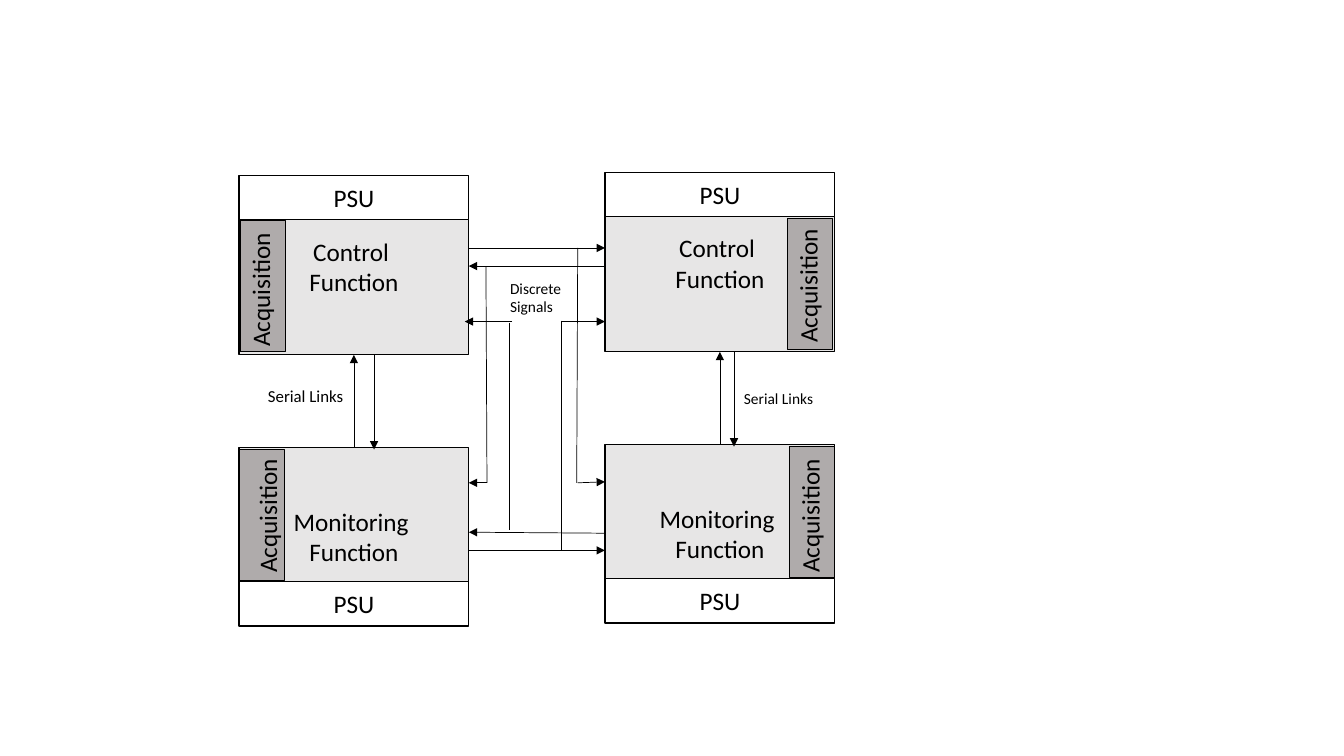
import pptx
import pptx.util
import pptx.dml.color
import pptx.enum.shapes
import pptx.enum.text
import pptx.oxml
import pptx.oxml.ns

Inches = pptx.util.Inches
RGBColor = pptx.dml.color.RGBColor

BLACK = RGBColor(0x00, 0x00, 0x00)
WHITE = RGBColor(0xFF, 0xFF, 0xFF)
LIGHT_GREY = RGBColor(0xE7, 0xE6, 0xE6)
DARK_GREY = RGBColor(0xAF, 0xAB, 0xAB)

CHANNEL_WIDTH = 2.28
FUNCTION_HEIGHT = 1.76
PSU_HEIGHT = 0.44
BAR_SIZE = (0.45, 1.3)
LABEL_SIZE = (1.34, 0.4)

# Each channel: origin, acquisition bars and labels relative to it, down link
CHANNELS = [
    {"origin": (2.37, 1.74), "bars": [(0.01, 0.45), (0, 2.72)],
     "labels": [(-0.46, 0.93), (-0.39, 3.17)], "down_link": 1.34},
    {"origin": (6, 1.71), "bars": [(1.81, 0.46), (1.83, 2.72)],
     "labels": [(1.34, 0.92), (1.36, 3.2)], "down_link": 1.28},
]

# Discrete signals between the channels: start, end
SIGNAL_ARROWS = [
    ((4.65, 2.46), (6, 2.46)),
    ((5.73, 4.79), (6, 4.78)),
    ((4.83, 4.79), (4.65, 4.79)),
    ((4.65, 5.46), (6, 5.46)),
    ((5.57, 3.19), (6, 3.19)),
    ((5.08, 3.19), (4.61, 3.19)),
]
SIGNAL_BRANCHES = [
    ((5.72, 4.79), (5.73, 2.46)),
    ((4.83, 4.79), (4.82, 2.64)),
    ((5.57, 3.18), (5.57, 5.46)),
    ((5.05, 3.2), (5.05, 5.26)),
]


def set_values(target, values):
    for name, value in values.items():
        setattr(target, name, value)


def write_lines(shape, lines, size, alignment):
    frame = shape.text_frame
    for index, line in enumerate(lines):
        paragraph = frame.paragraphs[0] if index == 0 else frame.add_paragraph()
        paragraph.alignment = alignment
        run = paragraph.add_run()
        run.text = line
        set_values(run.font, {"name": "Calibri", "size": pptx.util.Pt(size)})
        run.font.color.rgb = BLACK


def add_box(slide, left, top, width, height, fill, lines=()):
    shape = slide.shapes.add_shape(
        pptx.enum.shapes.MSO_SHAPE.RECTANGLE,
        Inches(left), Inches(top), Inches(width), Inches(height))
    shape.shadow.inherit = False
    shape.fill.solid()
    shape.fill.fore_color.rgb = fill
    shape.line.color.rgb = BLACK
    shape.line.width = pptx.util.Pt(1)
    shape.text_frame.vertical_anchor = pptx.enum.text.MSO_ANCHOR.MIDDLE
    write_lines(shape, lines, 18, pptx.enum.text.PP_ALIGN.CENTER)
    return shape


def add_label(slide, left, top, width, height, lines, size, rotation=0):
    label = slide.shapes.add_textbox(
        Inches(left), Inches(top), Inches(width), Inches(height))
    label.rotation = rotation
    set_values(label.text_frame, {
        "word_wrap": False,
        "auto_size": pptx.enum.text.MSO_AUTO_SIZE.SHAPE_TO_FIT_TEXT,
    })
    write_lines(label, lines, size, pptx.enum.text.PP_ALIGN.LEFT)


def add_line(slide, start, end, arrow=True):
    connector = slide.shapes.add_connector(
        pptx.enum.shapes.MSO_CONNECTOR.STRAIGHT,
        *(Inches(value) for value in (*start, *end)))
    connector.line.color.rgb = BLACK
    connector.line.width = pptx.util.Pt(0.5)
    if arrow:
        line_element = connector.line._get_or_add_ln()
        tail = pptx.oxml.parse_xml(
            f'<a:tailEnd {pptx.oxml.ns.nsdecls("a")} type="triangle"/>')
        line_element.append(tail)
    connector._element.spPr.append(pptx.oxml.parse_xml(
        f'<a:effectLst {pptx.oxml.ns.nsdecls("a")}/>'))
    return connector


def add_channel(slide, channel):
    left, top = channel["origin"]
    control_top, monitoring_top = top + 0.02, top + 2.7
    control_bottom = control_top + FUNCTION_HEIGHT

    # Function blocks
    monitoring = add_box(slide, left, monitoring_top, CHANNEL_WIDTH,
                         FUNCTION_HEIGHT, LIGHT_GREY, ["Monitoring ", "Function"])
    control = add_box(slide, left, control_top, CHANNEL_WIDTH,
                      FUNCTION_HEIGHT, LIGHT_GREY, ["Control ", "Function"])

    # Serial links
    middle = left + CHANNEL_WIDTH / 2
    up_link = add_line(slide, (middle, monitoring_top), (middle, control_bottom))
    up_link.begin_connect(monitoring, 0)
    up_link.end_connect(control, 2)
    down_link = left + channel["down_link"]
    add_line(slide, (down_link, control_bottom),
             (down_link, monitoring_top + 0.02))

    # Power supplies
    for offset in (0, 4.03):
        add_box(slide, left, top + offset, CHANNEL_WIDTH, PSU_HEIGHT,
                WHITE, ["PSU"])

    # Acquisition bars with upright labels
    for x, y in channel["bars"]:
        add_box(slide, left + x, top + y, *BAR_SIZE, DARK_GREY)
    for x, y in channel["labels"]:
        add_label(slide, left + x, top + y, *LABEL_SIZE, ["Acquisition"], 18, 270)
    return control, monitoring


def main():
    presentation = pptx.Presentation()
    presentation.slide_width = Inches(13.33)
    presentation.slide_height = Inches(7.5)
    slide = presentation.slides.add_slide(presentation.slide_layouts[6])

    (left_control, _), (_, right_monitoring) = [
        add_channel(slide, channel) for channel in CHANNELS]

    # Discrete signals
    for start, end in SIGNAL_ARROWS:
        add_line(slide, start, end)
    for start, end in SIGNAL_BRANCHES:
        add_line(slide, start, end, arrow=False)
    control_signal = add_line(slide, (6, 2.64), (4.65, 2.64))
    control_signal.end_connect(left_control, 3)
    monitoring_signal = add_line(slide, (6, 5.29), (4.65, 5.28))
    monitoring_signal.begin_connect(right_monitoring, 1)

    # Link captions
    add_label(slide, 2.56, 3.78, 0.96, 0.3, ["Serial Links"], 12)
    add_label(slide, 7.28, 3.81, 0.89, 0.29, ["Serial Links"], 11)
    add_label(slide, 4.96, 2.72, 0.72, 0.47, ["Discrete", "Signals"], 11)

    presentation.save("out.pptx")


if __name__ == "__main__":
    main()
